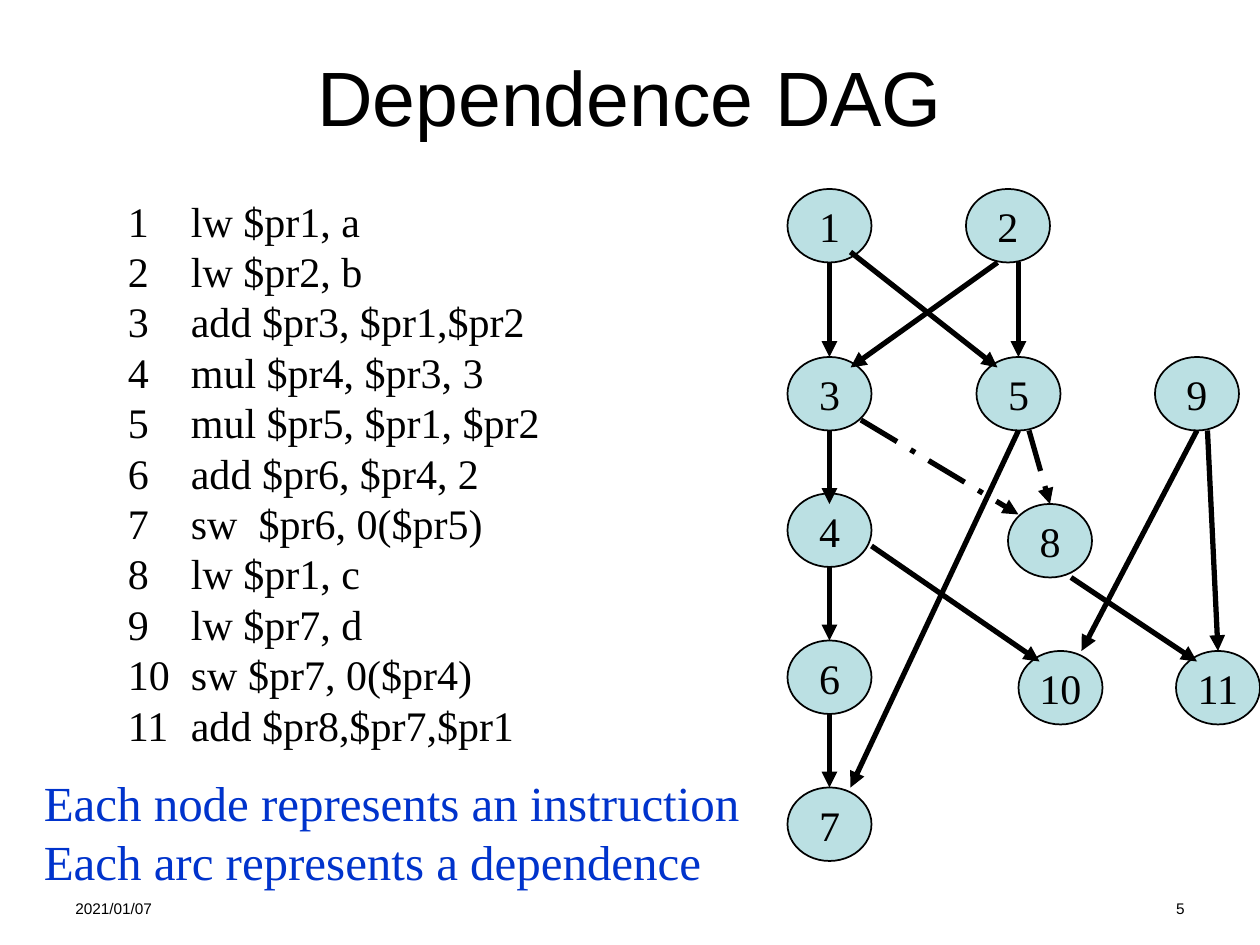
from lxml import etree
from pptx import Presentation
from pptx import util as u
from pptx.dml.color import RGBColor
from pptx.enum import dml, shapes, text
from pptx.oxml import ns

BLACK = RGBColor(0x00, 0x00, 0x00)
BLUE = RGBColor(0x00, 0x33, 0xCC)
TEAL = RGBColor(0xBB, 0xE0, 0xE3)
SANS, SERIF = "Arial", "Times New Roman"
COLS, ROWS = 120, 90

CODE = [
    "lw $pr1, a", "lw $pr2, b", "add $pr3, $pr1,$pr2", "mul $pr4, $pr3, 3",
    "mul $pr5, $pr1, $pr2", "add $pr6, $pr4, 2", "sw  $pr6, 0($pr5)",
    "lw $pr1, c", "lw $pr7, d", "sw $pr7, 0($pr4)", "add $pr8,$pr7,$pr1",
]
TYPED = 5
NODES = {
    1: (75, 18), 2: (92, 18), 3: (75, 34), 4: (75, 47), 5: (93, 34), 6: (75, 61),
    7: (75, 75), 8: (96, 48), 9: (110, 34), 10: (97, 62), 11: (112, 62),
}
SOLID = [
    (79, 25, 79, 34), (95, 25, 81, 35), (81, 24, 95, 35), (97, 25, 97, 34),
    (79, 41, 79, 48), (79, 54, 79, 61), (79, 68, 79, 75), (97, 41, 81, 75),
    (83, 52, 99, 63), (114, 41, 103, 62), (102, 55, 114, 63), (115, 41, 116, 62),
]
DASHED = [(98, 41, 100, 48), (82, 40, 97, 49)]


def add(node, tag, **attrs):
    return etree.SubElement(node, ns.qn(tag), **attrs)


def write(frame, words, size=24, face=SERIF, color=BLACK, align="LEFT",
          anchor="TOP", wrap=True, pitch=None, hang=0, start=None):
    frame.word_wrap = wrap
    frame.vertical_anchor = getattr(text.MSO_ANCHOR, anchor)
    for i, line in enumerate(words):
        para = frame.paragraphs[0] if i == 0 else frame.add_paragraph()
        para.text = line
        para.alignment = getattr(text.PP_ALIGN, align)
        if pitch:
            para.line_spacing = u.Pt(size * pitch)
        if hang:
            props = para._p.get_or_add_pPr()
            props.set("marL", str(u.Inches(hang)))
            props.set("indent", str(-u.Inches(hang)))
            if start and i + 1 >= start:
                add(props, "a:buFont", typeface=face)
                add(props, "a:buAutoNum", type="arabicPlain", startAt=str(start))
        for run in para.runs:
            run.font.size = u.Pt(size)
            run.font.name = face
            run.font.color.rgb = color


class Deck:
    def __init__(self):
        self.show = Presentation()
        self.show.slide_width, self.show.slide_height = u.Inches(10), u.Inches(7.5)
        self.slide = self.show.slides.add_slide(self.show.slide_layouts[6])

    def grid(self, *spots):
        units = self.show.slide_width / COLS, self.show.slide_height / ROWS
        return [u.Emu(round(s * units[i % 2])) for i, s in enumerate(spots)]

    def label(self, spot, *words, **style):
        box = self.slide.shapes.add_textbox(*self.grid(*spot))
        write(box.text_frame, words, **style)

    def node(self, name, col, row):
        oval = self.slide.shapes.add_shape(
            shapes.MSO_SHAPE.OVAL, *self.grid(col, row, 8, 7))
        oval.shadow.inherit = False
        oval.fill.solid()
        oval.fill.fore_color.rgb = TEAL
        oval.line.color.rgb = BLACK
        oval.line.width = u.Pt(1)
        write(oval.text_frame, [str(name)], align="CENTER", anchor="MIDDLE", wrap=False)

    def arc(self, ends, dash=None):
        arrow = self.slide.shapes.add_connector(
            shapes.MSO_CONNECTOR.STRAIGHT, *self.grid(*ends))
        arrow.line.color.rgb = BLACK
        arrow.line.width = u.Pt(3)
        if dash:
            arrow.line.dash_style = dash
        add(arrow.line._get_or_add_ln(), "a:tailEnd", type="triangle")
        add(arrow._element.spPr, "a:effectLst")


def main():
    deck = Deck()
    deck.label((6, 85, 28, 3.2), "2021/01/07", size=8.8, face=SANS)
    deck.label((86, 85, 28, 3.2), "5", size=8.8, face=SANS, align="RIGHT")
    deck.label((6, 3.6, 108, 11), "Dependence DAG", size=44, face=SANS,
               align="CENTER", anchor="MIDDLE")
    lines = [f"{n}\t{code}" if n <= TYPED else code for n, code in enumerate(CODE, 1)]
    deck.label((11, 18, 53.6, 54), *lines, pitch=1.2, hang=0.5, start=TYPED + 1)
    for name, spot in NODES.items():
        deck.node(name, *spot)
    for ends in SOLID:
        deck.arc(ends)
    for ends in DASHED:
        deck.arc(ends, dml.MSO_LINE.LONG_DASH_DOT)
    deck.label((3, 73, 72, 12.5),
               "Each node represents an instruction Each arc represents a dependence",
               size=28, color=BLUE, pitch=1.2)
    deck.show.save("out.pptx")


if __name__ == "__main__":
    main()
